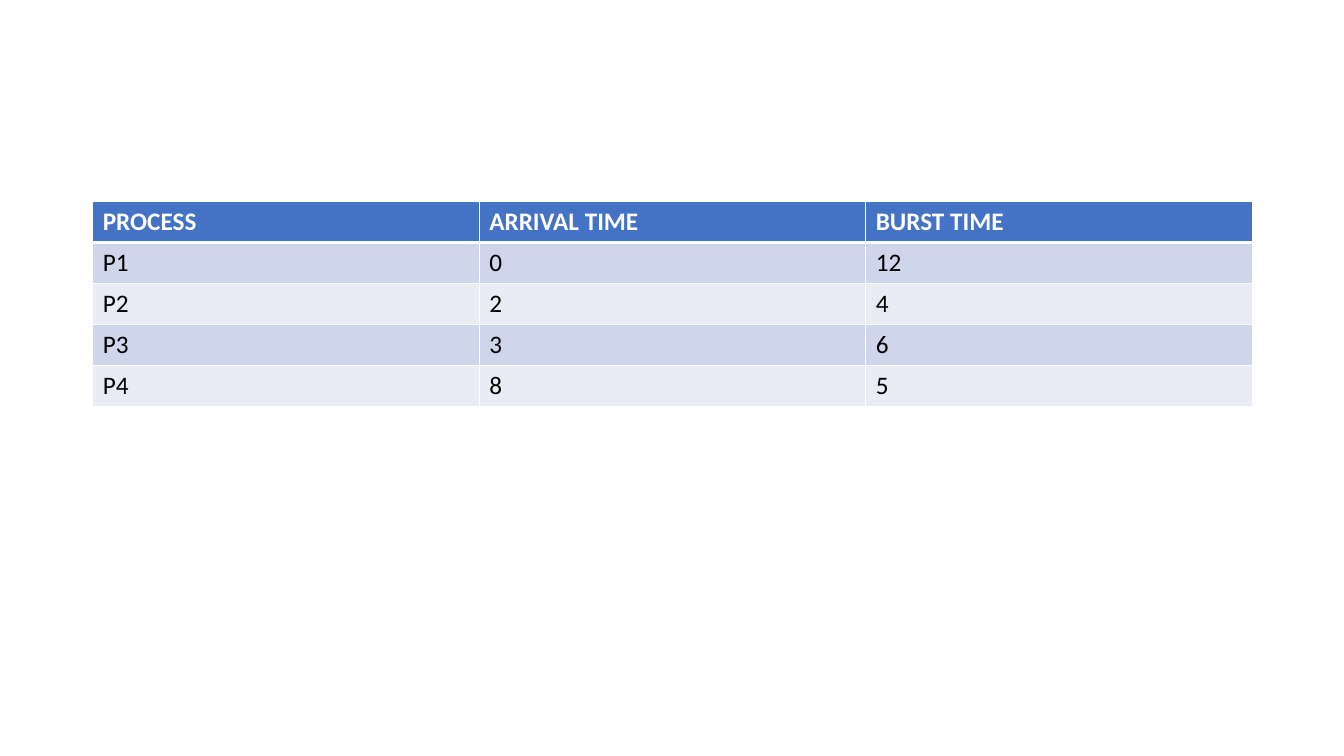
from dataclasses import astuple, dataclass

from lxml import etree
from pptx import Presentation
from pptx import util as u
from pptx.dml.color import RGBColor
from pptx.oxml.ns import qn
from pptx.table import _Cell

WHITE, BLACK = "FFFFFF", "000000"
HEADER_FILL = "4472C4"
BAND_FILLS = ("CFD5EA", "E9EBF5")
HEADINGS = ("PROCESS", "ARRIVAL TIME", "BURST TIME")


@dataclass
class Process:
    name: str
    arrival: int
    burst: int


PROCESSES = [
    Process("P1", 0, 12),
    Process("P2", 2, 4),
    Process("P3", 3, 6),
    Process("P4", 8, 5),
]


def rgb(value: str) -> RGBColor:
    return RGBColor.from_string(value)


def write(cell: _Cell, content: str, *, size: float = 18, color: str = BLACK,
          bold: bool = False, font: str = "Calibri") -> None:
    r = cell.text_frame.paragraphs[0].add_run()
    r.text = content
    r.font.name = font
    r.font.size = u.Pt(size)
    r.font.bold = bold
    r.font.color.rgb = rgb(color)


def set_borders(cell: _Cell, *, top: float = 1, bottom: float = 1) -> None:
    """Draw white cell borders, widths in points; call before filling the cell."""
    props = cell._tc.get_or_add_tcPr()
    for side, width in (("L", 1), ("R", 1), ("T", top), ("B", bottom)):
        ln = etree.SubElement(props, qn(f"a:ln{side}"), w=str(u.Pt(width)))
        fill = etree.SubElement(ln, qn("a:solidFill"))
        etree.SubElement(fill, qn("a:srgbClr"), val=WHITE)


def set_fill(cell: _Cell, color: str) -> None:
    cell.fill.solid()
    cell.fill.fore_color.rgb = rgb(color)


def main() -> None:
    prs = Presentation()
    prs.slide_width, prs.slide_height = u.Inches(13.33), u.Inches(7.5)
    s = prs.slides.add_slide(prs.slide_layouts[6])

    rows = [HEADINGS, *map(astuple, PROCESSES)]
    table = s.shapes.add_table(
        len(rows), len(HEADINGS), u.Inches(0.92), u.Inches(2),
        u.Inches(11.5), u.Inches(2.03)).table

    for i, row in enumerate(rows):
        header = i == 0
        for j, value in enumerate(row):
            cell = table.cell(i, j)
            set_borders(cell, top=3 if i == 1 else 1, bottom=3 if header else 1)
            set_fill(cell, HEADER_FILL if header else BAND_FILLS[(i - 1) % 2])
            write(cell, str(value), color=WHITE if header else BLACK, bold=header)

    prs.save("out.pptx")


if __name__ == "__main__":
    main()
